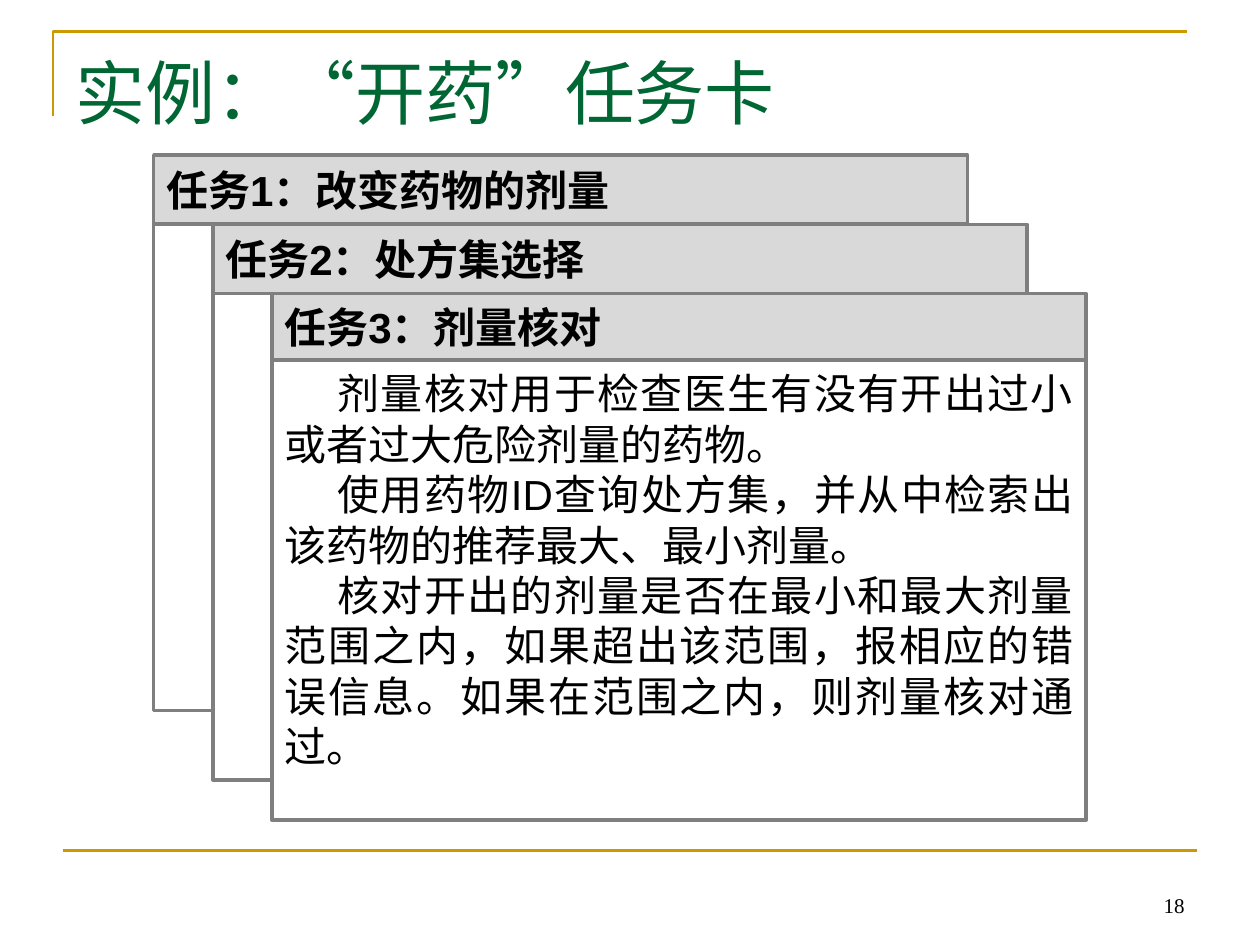
from dataclasses import dataclass

from lxml import etree
from pptx import Presentation
from pptx.dml.color import RGBColor
from pptx.enum import shapes, text
from pptx.oxml.ns import qn
from pptx.util import Inches, Pt


@dataclass(frozen=True)
class Theme:
    rule: RGBColor = RGBColor(0xCC, 0x99, 0x00)
    title: RGBColor = RGBColor(0x00, 0x66, 0x33)
    ink: RGBColor = RGBColor(0, 0, 0)
    header: RGBColor = RGBColor(0xD9, 0xD9, 0xD9)
    paper: RGBColor = RGBColor(0xFF, 0xFF, 0xFF)
    border: RGBColor = RGBColor(0x7F, 0x7F, 0x7F)
    title_size: Pt = Pt(40)
    card_size: Pt = Pt(24)
    number_size: Pt = Pt(12)
    serif: str = "Times New Roman"
    sans: str = "Arial"


THEME = Theme()
CARD_LEFT, CARD_TOP, CARD_WIDTH = 1.22, 1.23, 6.46
STEP_X, STEP_Y = 0.47, 0.55
# Heading, header height, body height
CARDS = [
    ("任务1：改变药物的剂量", 0.55, 3.86),
    ("任务2：处方集选择", 0.55, 3.86),
    ("任务3：剂量核对", 0.53, 3.65),
]
DETAILS = [
    "剂量核对用于检查医生有没有开出过小或者过大危险剂量的药物。",
    "使用药物ID查询处方集，并从中检索出该药物的推荐最大、最小剂量。",
    "核对开出的剂量是否在最小和最大剂量范围之内，如果超出该范围，报相应的错误信息。"
    "如果在范围之内，则剂量核对通过。",
]


def style(p, font, size, color, align, bold=False):
    p.alignment = align
    p.font.name, p.font.size, p.font.bold = font, size, bold
    p.font.color.rgb = color


def add_title(s, title):
    sp = s.shapes.title
    sp.left, sp.top, sp.width, sp.height = map(Inches, (0.5, 0.3, 9, 0.85))
    tf = sp.text_frame
    tf.text = title
    tf.auto_size = text.MSO_AUTO_SIZE.NONE
    tf.vertical_anchor = text.MSO_ANCHOR.MIDDLE
    style(tf.paragraphs[0], THEME.serif, THEME.title_size, THEME.title, text.PP_ALIGN.LEFT)


def add_rules(s):
    """Draw the corner bracket by the title and the line above the footer."""
    builder = s.shapes.build_freeform(Inches(0.42), Inches(0.92))
    builder.add_line_segments(
        [(Inches(0.42), Inches(0.25)), (Inches(9.42), Inches(0.25))], close=False)
    bracket = builder.convert_to_shape()
    bracket.fill.background()
    bracket.shadow.inherit = False
    footer = s.shapes.add_connector(
        shapes.MSO_CONNECTOR.STRAIGHT, Inches(0.5), Inches(6.75), Inches(9.5), Inches(6.75))
    etree.SubElement(footer._element.spPr, qn("a:effectLst"))
    for rule in (bracket, footer):
        rule.line.color.rgb = THEME.rule
        rule.line.width = Pt(1.5)


def add_page_number(s, number):
    sp = s.shapes.add_textbox(Inches(7.17), Inches(6.83), Inches(2.33), Inches(0.5))
    tf = sp.text_frame
    tf.word_wrap = True
    tf.vertical_anchor = text.MSO_ANCHOR.BOTTOM
    tf.text = number
    style(tf.paragraphs[0], THEME.serif, THEME.number_size, THEME.ink, text.PP_ALIGN.RIGHT)


def add_panel(card, left, top, height, fill):
    sp = card.shapes.add_shape(
        shapes.MSO_SHAPE.RECTANGLE, Inches(left), Inches(top), Inches(CARD_WIDTH), Inches(height))
    sp.shadow.inherit = False
    sp.fill.solid()
    sp.fill.fore_color.rgb = fill
    sp.line.color.rgb = THEME.border
    sp.line.width = Pt(2)
    return sp


def add_card(s, left, top, heading, header_height, body_height):
    """Add a grouped header and body; return the body panel."""
    card = s.shapes.add_group_shape()
    header = add_panel(card, left, top, header_height, THEME.header)
    tf = header.text_frame
    tf.text = heading
    tf.vertical_anchor = text.MSO_ANCHOR.MIDDLE
    style(tf.paragraphs[0], THEME.sans, THEME.card_size, THEME.ink, text.PP_ALIGN.LEFT, bold=True)
    return add_panel(card, left, top + header_height, body_height, THEME.paper)


def fill_details(body, details):
    tf = body.text_frame
    tf.vertical_anchor = text.MSO_ANCHOR.TOP
    tf.margin_top = Inches(0.06)
    tf.text = "\n".join(details)
    for p in tf.paragraphs:
        p._p.get_or_add_pPr().set("indent", str(Inches(0.42)))
        style(p, THEME.sans, THEME.card_size, THEME.ink, text.PP_ALIGN.JUSTIFY)


def main():
    prs = Presentation()
    prs.slide_width, prs.slide_height = Inches(10), Inches(7.5)
    s = prs.slides.add_slide(prs.slide_layouts[5])
    add_rules(s)
    add_title(s, "实例：“开药”任务卡")
    add_page_number(s, "18")
    for i, card in enumerate(CARDS):
        body = add_card(s, CARD_LEFT + i * STEP_X, CARD_TOP + i * STEP_Y, *card)
    fill_details(body, DETAILS)
    prs.save("out.pptx")


if __name__ == "__main__":
    main()
